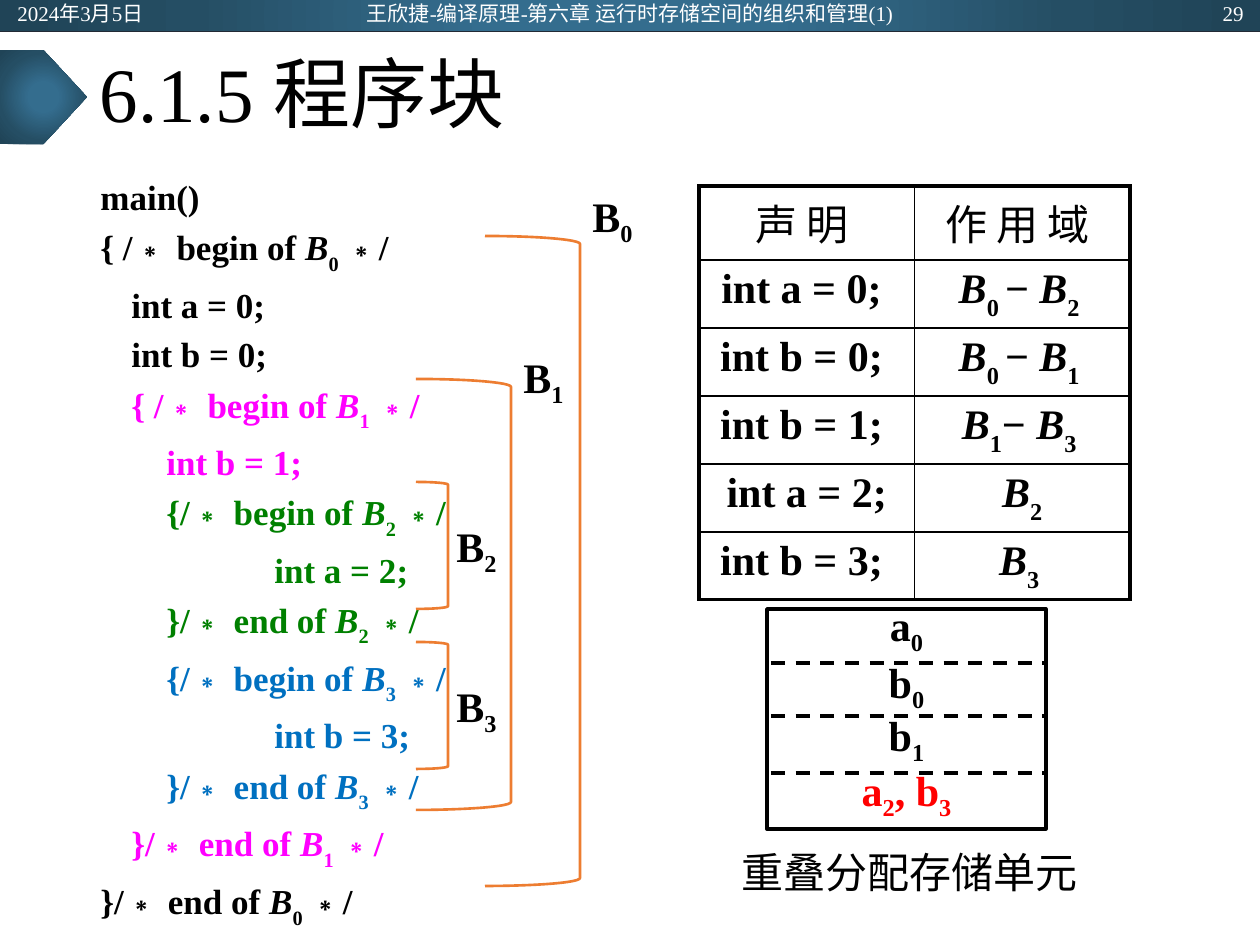
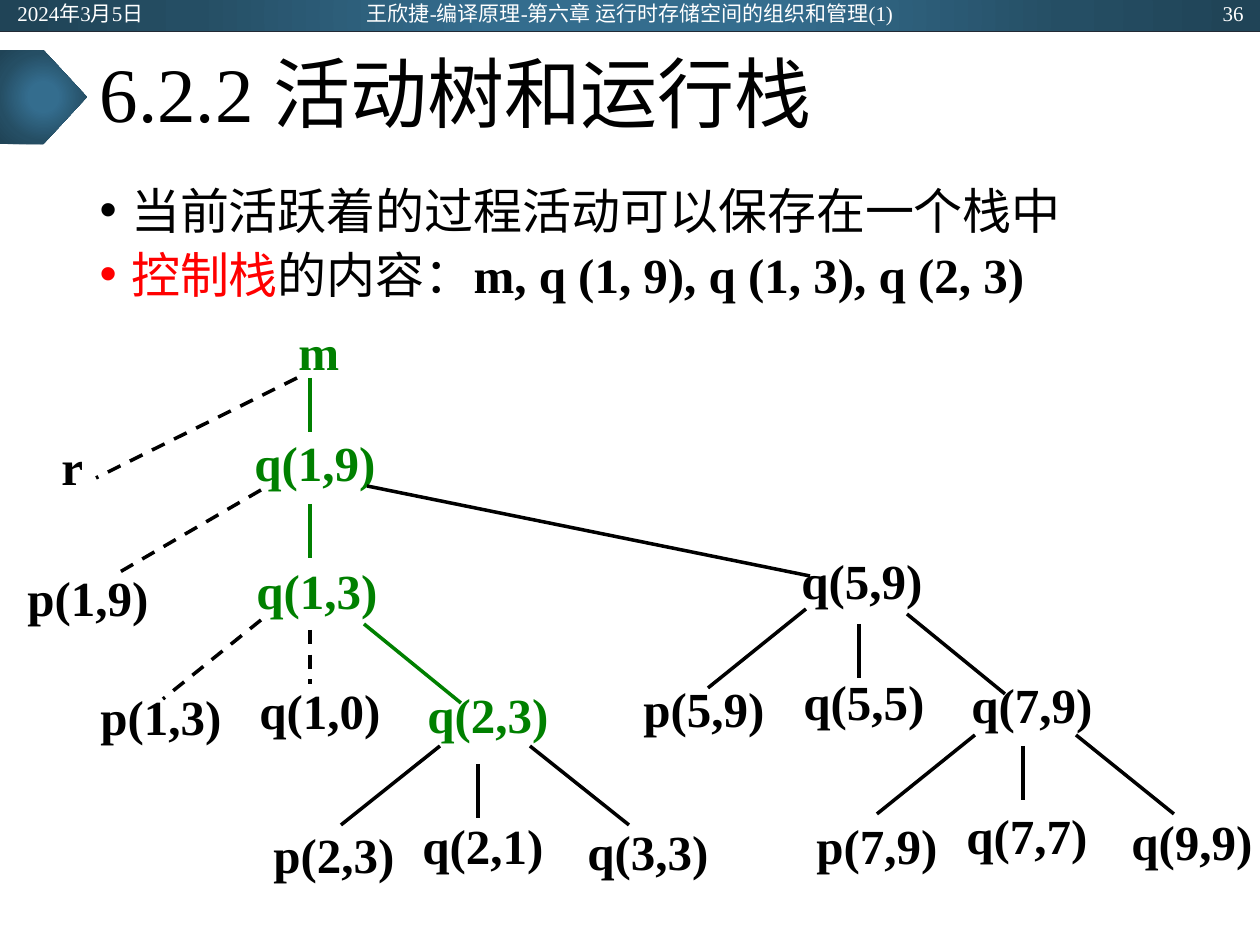
from lxml import etree
from pptx import Presentation
from pptx.dml.color import RGBColor
from pptx.enum.dml import MSO_LINE
from pptx.enum.shapes import MSO_CONNECTOR, MSO_SHAPE
from pptx.enum.text import MSO_ANCHOR, MSO_AUTO_SIZE, PP_ALIGN
from pptx.oxml import parse_xml
from pptx.oxml.ns import nsdecls, qn
from pptx.util import Inches, Pt

LEFT, CENTER, RIGHT = PP_ALIGN.LEFT, PP_ALIGN.CENTER, PP_ALIGN.RIGHT
TOP, MIDDLE = MSO_ANCHOR.TOP, MSO_ANCHOR.MIDDLE
STRAIGHT, DASH = MSO_CONNECTOR.STRAIGHT, MSO_LINE.DASH
RECTANGLE, PENTAGON, BRACKET = MSO_SHAPE.RECTANGLE, MSO_SHAPE.PENTAGON, MSO_SHAPE.RIGHT_BRACKET
NO_AUTOFIT = MSO_AUTO_SIZE.NONE
PX = 7257  # EMU in one px, 126 px to the inch


class Theme:
    latin, chinese = "Times New Roman", "Noto Sans CJK SC"
    black, white, red = "000000", "FFFFFF", "FF0000"
    green, magenta, blue, orange = "008000", "FF00FF", "0070C0", "ED7D31"
    band_line = "222A35"
    band_stops = [(0, "346D8E"), (23, "346D8E"), (69, "254E64"), (97, "204457")]
    title_size, body_size, label_size, code_size, header_size = 44, 28, 24, 20, 12


def add_run(paragraph, text, size, color=Theme.black, bold=True, italic=False,
            baseline=0, font=Theme.latin, east_asian=Theme.chinese):
    run = paragraph.add_run()
    run.text = text
    run.font.size = Pt(size)
    run.font.bold = bold
    run.font.italic = italic
    run.font.color.rgb = RGBColor.from_string(color)
    run.font.name = font
    properties = run._r.get_or_add_rPr()
    etree.SubElement(properties, qn("a:ea")).set("typeface", east_asian)
    if baseline:
        properties.set("baseline", str(baseline * 1000))


def add_text_box(slide, left, top, width, height, alignment=LEFT, anchor=TOP, wrap=True):
    shape = slide.shapes.add_textbox(left * PX, top * PX, width * PX, height * PX)
    frame = shape.text_frame
    frame.word_wrap = wrap
    frame.vertical_anchor = anchor
    frame.paragraphs[0].alignment = alignment
    return frame.paragraphs[0]


presentation = Presentation()
presentation.slide_width = Inches(10)
presentation.slide_height = Inches(7.5)
lines = []  # slide, x1, y1, x2, y2, color, width, dashed

# Shared band, title marker, header and title
slides = []
for layout, number, title in [(5, "29", "6.1.5 程序块"), (1, "36", "6.2.2 活动树和运行栈")]:
    slide = presentation.slides.add_slide(presentation.slide_layouts[layout])
    slides.append(slide)
    for kind, top, width, height in [(RECTANGLE, 0, 1260, 31), (PENTAGON, 50, 87, 94)]:
        shape = slide.shapes.add_shape(kind, 0, top * PX, width * PX, height * PX)
        shape.shadow.inherit = False
        shape.line.fill.background()
        stops = "".join(
            f'<a:gs pos="{position * 1000}"><a:srgbClr val="{color}"/></a:gs>'
            for position, color in Theme.band_stops)
        gradient = parse_xml(
            f'<a:gradFill {nsdecls("a")} rotWithShape="1"><a:gsLst>{stops}</a:gsLst>'
            '<a:path path="circle"><a:fillToRect l="50000" t="50000" r="50000" b="50000"/>'
            '</a:path></a:gradFill>')
        shape._element.spPr.find(qn("a:prstGeom")).addnext(gradient)
    lines.append((slide, 0, 31, 1260, 31, Theme.band_line, 0.5, False))

    for left, width, alignment, text in [
        (5, 284, LEFT, "2024年3月5日"),
        (325, 610, CENTER, "王欣捷-编译原理-第六章 运行时存储空间的组织和管理(1)"),
        (973, 283, RIGHT, number),
    ]:
        paragraph = add_text_box(slide, left, 1, width, 25, alignment, MIDDLE)
        add_run(paragraph, text, Theme.header_size, Theme.white, bold=False)

    shape = slide.shapes.title
    shape.left, shape.top, shape.width, shape.height = 87 * PX, 32 * PX, 1086 * PX, 131 * PX
    shape.text_frame.auto_size = NO_AUTOFIT
    shape.text_frame.vertical_anchor = MIDDLE
    paragraph = shape.text_frame.paragraphs[0]
    paragraph.alignment = LEFT
    paragraph.line_spacing = 0.9
    add_run(paragraph, title, Theme.title_size, bold=False)

block_slide, tree_slide = slides

# Storage cells that share memory
shape = block_slide.shapes.add_shape(RECTANGLE, 767 * PX, 609 * PX, 279 * PX, 220 * PX)
shape.shadow.inherit = False
shape.fill.background()
shape.line.color.rgb = RGBColor.from_string(Theme.black)
shape.line.width = Pt(2)
for top, color, variables in [
    (593, Theme.black, [("a", "0")]),
    (650, Theme.black, [("b", "0")]),
    (703, Theme.black, [("b", "1")]),
    (758, Theme.red, [("a", "2"), (", b", "3")]),
]:
    paragraph = add_text_box(block_slide, 774, top, 265, 66, CENTER)
    for name, index in variables:
        add_run(paragraph, name, Theme.label_size, color)
        add_run(paragraph, index, Theme.label_size, color, baseline=-25)
for y in (663, 716, 773):
    lines.append((block_slide, 771, y, 1046, y, Theme.black, 2, True))
paragraph = add_text_box(block_slide, 641, 840, 546, 73, CENTER)
add_run(paragraph, "重叠分配存储单元 ", Theme.label_size, bold=False, font=Theme.chinese)

# Table of declarations and scopes
scopes = [("int a = 0; ", ("0 ", "2 ")), ("int b = 0; ", ("0 ", "1 ")),
          ("int b = 1; ", ("1", "3 ")), ("int a = 2;", ("2",)), ("int b = 3; ", ("3 ",))]
row_count = len(scopes) + 1
table = block_slide.shapes.add_table(
    row_count, 2, 699 * PX, 186 * PX, 431 * PX, 414 * PX).table
table.first_row = False
table.horz_banding = False
for column in table.columns:
    column.width = 431 * PX // 2
for row_index, row in enumerate(table.rows):
    row.height = (68 if row_index else 74) * PX
    for column_index, cell in enumerate(row.cells):
        cell.margin_bottom = PX
        paragraph = cell.text_frame.paragraphs[0]
        paragraph.alignment = CENTER
        if row_index == 0:
            add_run(paragraph, ("声 明 ", "作 用 域 ")[column_index], Theme.label_size,
                    bold=False, font=Theme.chinese)
        elif column_index == 0:
            add_run(paragraph, scopes[row_index - 1][0], Theme.label_size)
        else:
            for position, block in enumerate(scopes[row_index - 1][1]):
                if position:
                    add_run(paragraph, "− ", Theme.label_size, east_asian=Theme.latin)
                add_run(paragraph, "B", Theme.label_size, italic=True)
                add_run(paragraph, block, Theme.label_size, baseline=-30)
        properties = cell._tc.get_or_add_tcPr()
        for side, outer in [("L", column_index == 0), ("R", column_index == 1),
                            ("T", row_index == 0), ("B", row_index == row_count - 1)]:
            properties.append(parse_xml(
                f'<a:ln{side} {nsdecls("a")} w="{Pt(2.25 if outer else 1)}"><a:solidFill>'
                f'<a:srgbClr val="{Theme.black}"/></a:solidFill></a:ln{side}>'))
        cell.fill.background()

# Nested program blocks: indent, color, code, block that is opened or closed
code_lines = [
    (0, Theme.black, "main()", ""),
    (0, Theme.black, "{ /∗ begin of ", "0"),
    (31, Theme.black, "int a = 0;", ""),
    (31, Theme.black, "int b = 0;", ""),
    (31, Theme.magenta, "{ /∗ begin of ", "1"),
    (66, Theme.magenta, "int b = 1;", ""),
    (66, Theme.green, "{/∗ begin of ", "2"),
    (174, Theme.green, "int a = 2;", ""),
    (66, Theme.green, "}/∗ end of ", "2"),
    (66, Theme.blue, "{/∗ begin of ", "3"),
    (174, Theme.blue, "int b = 3;", ""),
    (66, Theme.blue, "}/∗ end of ", "3"),
    (31, Theme.magenta, "}/∗ end of ", "1"),
    (0, Theme.black, "}/∗ end of ", "0"),
]
first = add_text_box(block_slide, 88, 165, 536, 675)
frame = block_slide.shapes[-1].text_frame
for line_index, (indent, color, code, block) in enumerate(code_lines):
    paragraph = frame.add_paragraph() if line_index else first
    paragraph.alignment = LEFT
    paragraph.line_spacing = 1.1
    paragraph.space_before = Pt(2 if line_index else 0)
    paragraph._p.get_or_add_pPr().set("marL", str(indent * PX))
    add_run(paragraph, code, Theme.code_size, color, east_asian=Theme.latin)
    if block:
        add_run(paragraph, "B", Theme.code_size, color, italic=True)
        add_run(paragraph, block + " ", Theme.code_size, color, baseline=-30)
        add_run(paragraph, "∗/", Theme.code_size, color, east_asian=Theme.latin)

# Brackets around the blocks
for block, left, top, width, height, label_left, label_top in [
    ("2", 416, 482, 32, 127, 444, 514),
    ("3", 416, 642, 32, 127, 444, 674),
    ("1", 416, 379, 95, 431, 511, 345),
    ("0", 485, 236, 95, 650, 580, 184),
]:
    shape = block_slide.shapes.add_shape(BRACKET, left * PX, top * PX, width * PX, height * PX)
    shape.shadow.inherit = False
    shape.fill.background()
    shape.line.color.rgb = RGBColor.from_string(Theme.orange)
    shape.line.width = Pt(1.5)
    paragraph = add_text_box(block_slide, label_left, label_top, 68, 63, wrap=False)
    add_run(paragraph, "B", Theme.label_size)
    add_run(paragraph, block, Theme.label_size, baseline=-25)

# Bullets about the control stack
body = tree_slide.placeholders[1]
body.left, body.top, body.width, body.height = 87 * PX, 174 * PX, 1086 * PX, 678 * PX
body.text_frame.auto_size = NO_AUTOFIT
bullets = [
    [("当前活跃着的过程活动可以保存在一个栈中", Theme.black, False)],
    [("控制栈", Theme.red, False), ("的内容：", Theme.black, False),
     ("m, q (1, 9), q (1, 3), q (2, 3)", Theme.black, True)],
]
for bullet_index, runs in enumerate(bullets):
    frame = body.text_frame
    paragraph = frame.add_paragraph() if bullet_index else frame.paragraphs[0]
    paragraph.alignment = LEFT
    paragraph.line_spacing = 1.0
    paragraph.space_before = Pt(3 if bullet_index else 0)
    properties = paragraph._p.get_or_add_pPr()
    properties.set("marL", str(Inches(0.25)))
    properties.set("indent", str(-Inches(0.25)))
    etree.SubElement(properties, qn("a:buFont")).set("typeface", "Arial")
    etree.SubElement(properties, qn("a:buChar")).set("char", "•")
    for text, color, bold in runs:
        add_run(paragraph, text, Theme.body_size, color, bold)

# Activation tree: nodes on the stack are green
on_stack = {"m", "q(1,9)", "q(1,3)", "q(2,3)"}
for text, left, top in [
    ("m", 286, 315), ("q(1,9)", 242, 426), ("r", 49, 430),
    ("p(1,9)", 15, 561), ("q(1,3)", 244, 554), ("q(5,9)", 789, 544),
    ("p(1,3)", 88, 680), ("q(1,0)", 247, 674), ("q(2,3)", 415, 678),
    ("p(5,9)", 631, 672), ("q(5,5)", 791, 665), ("q(7,9)", 959, 668),
    ("p(2,3)", 261, 818), ("q(2,1)", 410, 809), ("q(3,3)", 575, 815),
    ("p(7,9)", 804, 809), ("q(7,7)", 954, 799), ("q(9,9)", 1119, 805),
]:
    paragraph = add_text_box(tree_slide, left, top, 158, 96)
    add_run(paragraph, text, Theme.body_size,
            Theme.green if text in on_stack else Theme.black)

# Tree edges: active calls are green, finished calls dashed
active_edges = [(310, 378, 310, 432), (310, 504, 310, 558), (364, 624, 461, 703)]
finished_edges = [(297, 378, 96, 478), (261, 490, 120, 572),
                  (310, 630, 310, 684), (261, 620, 163, 699)]
future_edges = [(367, 486, 810, 576),
                (440, 746, 341, 825), (478, 764, 478, 818), (530, 746, 629, 825),
                (806, 609, 708, 688), (859, 624, 859, 678), (907, 614, 1005, 694),
                (975, 735, 877, 814), (1023, 746, 1023, 800), (1076, 735, 1174, 814)]
for edges, color, dashed in [(active_edges, Theme.green, False),
                             (finished_edges, Theme.black, True),
                             (future_edges, Theme.black, False)]:
    for edge in edges:
        lines.append((tree_slide, *edge, color, 2, dashed))

# All straight lines
for slide, x1, y1, x2, y2, color, width, dashed in lines:
    connector = slide.shapes.add_connector(STRAIGHT, x1 * PX, y1 * PX, x2 * PX, y2 * PX)
    connector.line.color.rgb = RGBColor.from_string(color)
    connector.line.width = Pt(width)
    if dashed:
        connector.line.dash_style = DASH
    etree.SubElement(connector._element.spPr, qn("a:effectLst"))

presentation.save("out.pptx")
